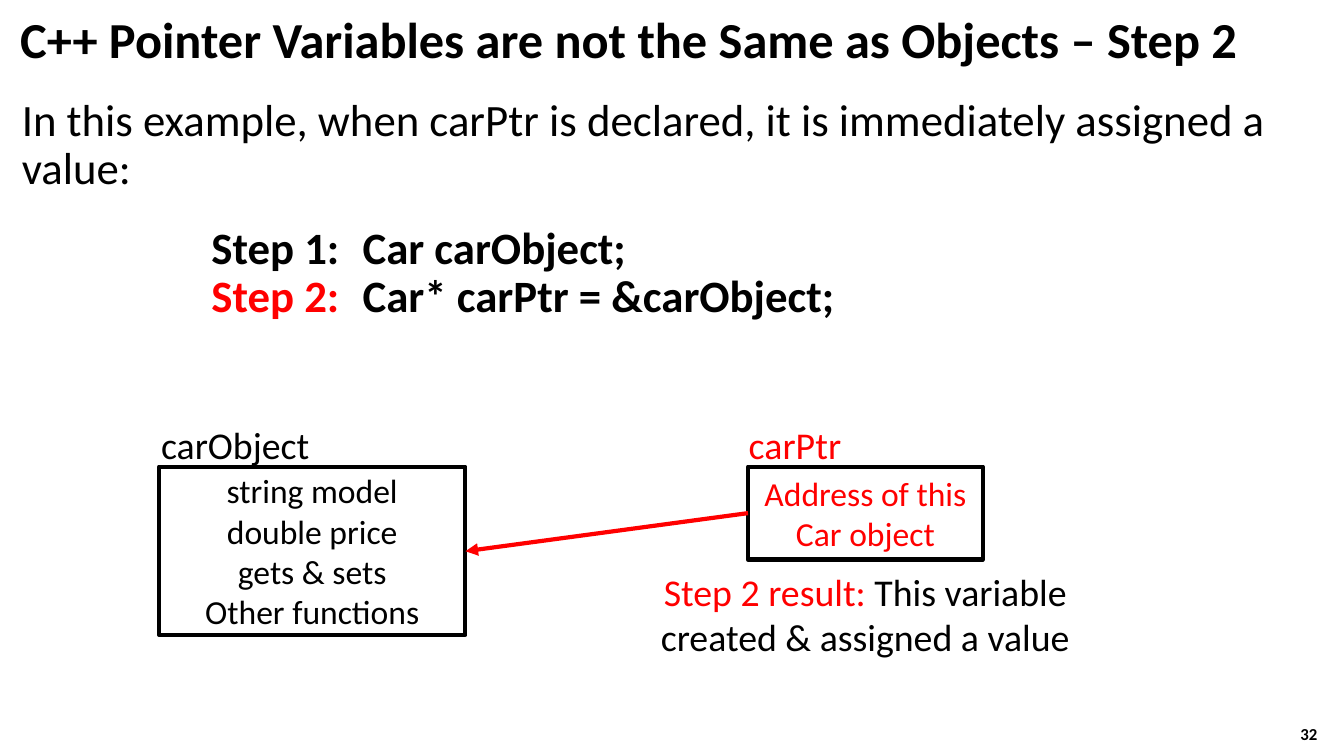
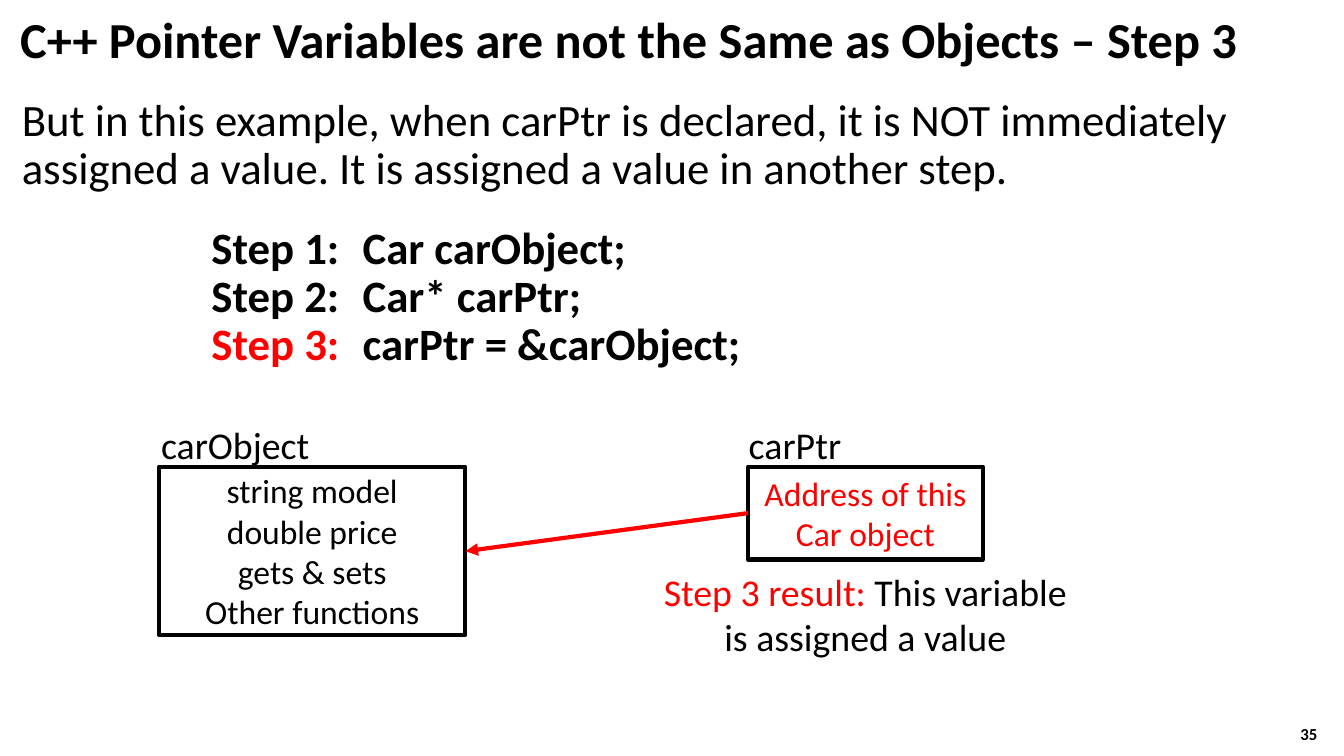
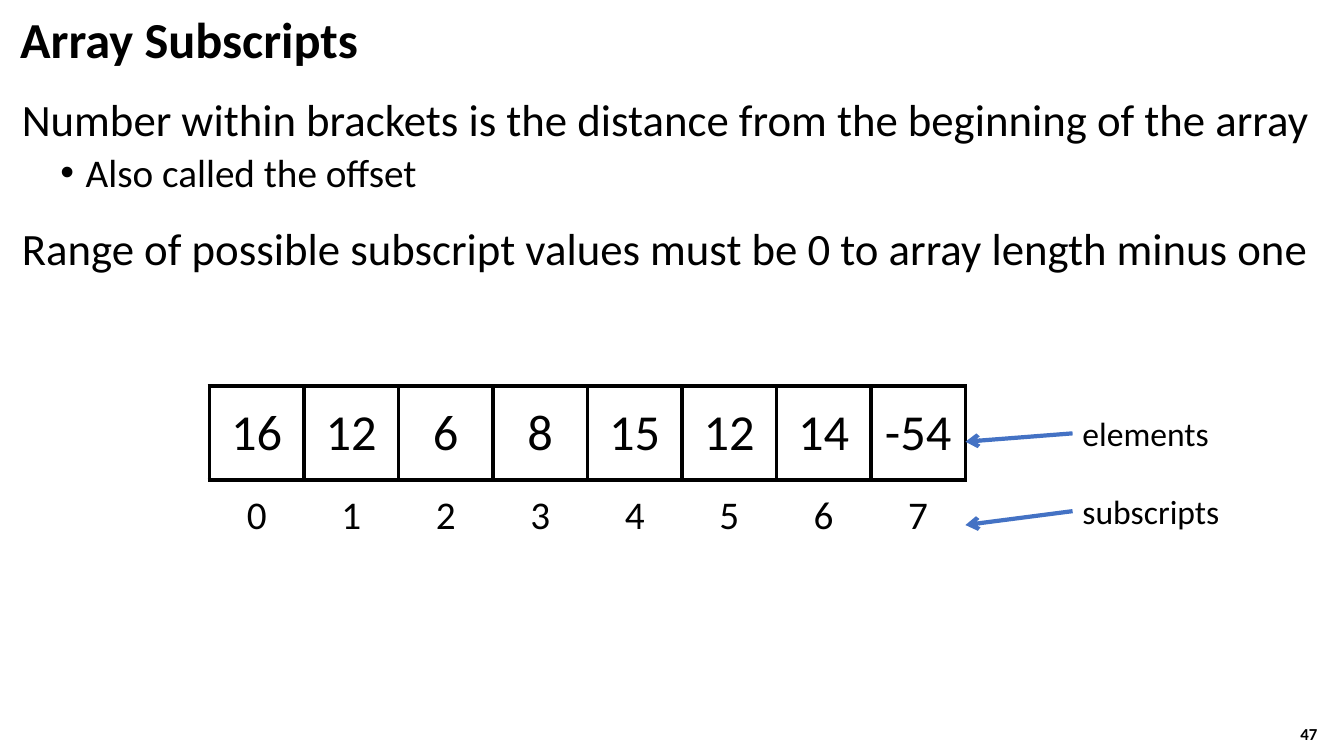
import pptx
import pptx.dml.color
import pptx.enum.shapes
import pptx.enum.text
import pptx.oxml
import pptx.oxml.ns
import pptx.util

Cm, Pt = pptx.util.Cm, pptx.util.Pt
ALIGN = pptx.enum.text.PP_ALIGN
MIDDLE = pptx.enum.text.MSO_ANCHOR.MIDDLE
NS = pptx.oxml.ns.nsdecls("a")
COLORS = {"black": "000000", "red": "FF0000", "blue": "4472C4"}
FONT = "Calibri"

# Per body level: size, left margin, first-line indent, space before
LEVELS = {
    "point": (32, Cm(0.3), 0, 22),
    "bullet": (28, Cm(1.91), Cm(-0.64), 5),
    "first step": (32, Cm(5.08), 0, 22),
    "step": (32, Cm(5.08), 0, 0),
}


def fill_text(tf, paragraphs, size, align=ALIGN.LEFT, bold=False, wrap=True):
    """Write paragraphs, each a list of (text, colour) runs."""
    tf.word_wrap = wrap
    for i, runs in enumerate(paragraphs):
        p = tf.paragraphs[0] if i == 0 else tf.add_paragraph()
        p.alignment = align
        for text, color in runs:
            r = p.add_run()
            r.text = text
            r.font.name, r.font.size, r.font.bold = FONT, Pt(size), bold
            r.font.color.rgb = pptx.dml.color.RGBColor.from_string(COLORS[color])


def add_arrow(s, x1, y1, x2, y2, color, head):
    ln = s.shapes.add_connector(pptx.enum.shapes.MSO_CONNECTOR.STRAIGHT,
                                Cm(x1), Cm(y1), Cm(x2), Cm(y2))
    ln.line.color.rgb = pptx.dml.color.RGBColor.from_string(COLORS[color])
    ln.line.width = Pt(3)
    ln.line._get_or_add_ln().append(pptx.oxml.parse_xml(f'<a:tailEnd {NS} type="{head}"/>'))
    ln._element.spPr.append(pptx.oxml.parse_xml(f"<a:effectLst {NS}/>"))


pointer_title = "C++ Pointer Variables are not the Same as Objects – Step "
slides = [
    {
        "number": "32",
        "title": pointer_title + "2",
        "body": [
            ("point", [("In this example, when carPtr is declared, it is immediately "
                        "assigned a value:", "black")]),
            ("first step", [("Step 1:", "black"), ("\tCar carObject;", "black")]),
            ("step", [("Step 2:", "red"), ("\tCar* carPtr = &carObject;", "black")]),
        ],
        "pointer color": "red",
        "result": [("Step 2 result:", "red"),
                   (" This variable created & assigned a value", "black")],
    },
    {
        "number": "35",
        "title": pointer_title + "3",
        "body": [
            ("point", [("But in this example, when carPtr is declared, it is NOT immediately "
                        "assigned a value. It is assigned a value in another step.", "black")]),
            ("first step", [("Step 1:", "black"), ("\tCar carObject;", "black")]),
            ("step", [("Step 2:", "black"), ("\tCar* carPtr;", "black")]),
            ("step", [("Step 3:", "red"), ("\tcarPtr = &carObject;", "black")]),
        ],
        "pointer color": "black",
        "result": [("Step 3 result: ", "red"), ("This variable is assigned a value", "black")],
    },
    {
        "number": "47",
        "title": "Array Subscripts",
        "body": [
            ("point", [("Number within brackets is the distance from the beginning "
                        "of the array", "black")]),
            ("bullet", [("Also called the offset", "black")]),
            ("point", [("Range of possible subscript values must be 0 to array length "
                        "minus one", "black")]),
        ],
        "elements": [16, 12, 6, 8, 15, 12, 14, -54],
    },
]

prs = pptx.Presentation()
prs.slide_width, prs.slide_height = Cm(33.87), Cm(19.05)

for content in slides:
    s = prs.slides.add_slide(prs.slide_layouts[6])

    # Slide number
    sp = s.shapes.add_textbox(Cm(30.91), Cm(17.98), Cm(2.54), Cm(1.02))
    sp.text_frame.vertical_anchor = MIDDLE
    fill_text(sp.text_frame, [[(content["number"], "black")]], 12, ALIGN.RIGHT, bold=True)

    # Title
    sp = s.shapes.add_textbox(0, 0, prs.slide_width, Cm(2.11))
    tf = sp.text_frame
    tf.margin_left = Cm(0.51)
    tf.vertical_anchor = MIDDLE
    fill_text(tf, [[(content["title"], "black")]], 36, bold=True)
    tf.paragraphs[0].line_spacing = 0.9

    # Body
    sp = s.shapes.add_textbox(0, Cm(2.34), prs.slide_width, Cm(15.49))
    tf = sp.text_frame
    fill_text(tf, [runs for level, runs in content["body"]], 32)
    for i, (level, runs) in enumerate(content["body"]):
        p = tf.paragraphs[i]
        size, left, indent, before = LEVELS[level]
        pPr = p._p.get_or_add_pPr()
        pPr.set("marL", str(left))
        pPr.set("indent", str(indent))
        if level == "bullet":
            pPr.append(pptx.oxml.parse_xml(f'<a:buFont {NS} typeface="Arial"/>'))
            pPr.append(pptx.oxml.parse_xml(f'<a:buChar {NS} char="•"/>'))
        elif "step" in level:
            stops = "".join(f'<a:tab pos="{Cm(5.08 * n)}" algn="l"/>' for n in (1, 2))
            pPr.append(pptx.oxml.parse_xml(f"<a:tabLst {NS}>{stops}</a:tabLst>"))
        p.line_spacing = 0.9
        p.space_before = Pt(before if i else 0)
        for r in p.runs:
            r.font.size = Pt(size)
            r.font.bold = "step" in level

    if "result" in content:
        # Object and pointer boxes with their names
        members = ["string model", "double price", "gets & sets", "Other functions"]
        boxes = [
            (4.01, 7.72, 4.24, [[(m, "black")] for m in members],
             3.81, 4.27, "carObject", "black"),
            (18.85, 5.92, 2.34, [[("Address of this Car object", "red")]],
             18.62, 2.87, "carPtr", content["pointer color"]),
        ]
        for x, w, h, lines, name_x, name_w, name, color in boxes:
            sp = s.shapes.add_shape(pptx.enum.shapes.MSO_SHAPE.RECTANGLE,
                                    Cm(x), Cm(11.76), Cm(w), Cm(h))
            sp.shadow.inherit = False
            sp.fill.background()
            sp.line.color.rgb = pptx.dml.color.RGBColor.from_string(COLORS["black"])
            sp.line.width = Pt(3)
            sp.text_frame.vertical_anchor = MIDDLE
            fill_text(sp.text_frame, lines, 24, ALIGN.CENTER)
            sp = s.shapes.add_textbox(Cm(name_x), Cm(10.49), Cm(name_w), Cm(1.42))
            fill_text(sp.text_frame, [[(name, color)]], 27, wrap=False)
        add_arrow(s, 18.85, 12.93, 11.73, 13.89, "red", "triangle")

        # Result of the step
        sp = s.shapes.add_textbox(Cm(16.38), Cm(14.2), Cm(10.85), Cm(2.57))
        fill_text(sp.text_frame, [content["result"]], 27, ALIGN.CENTER)
    else:
        # Array elements above their subscripts, each row with a label and arrow
        elements = content["elements"]
        rows = [
            (elements, 9.73, 2.36, 36, True, "elements", 3.73, 10.29, 10.92, 11.13),
            (range(len(elements)), 12.27, 1.47, 28, False, "subscripts", 4.75, 12.24, 12.88, 13.23),
        ]
        for values, y, h, size, boxed, label, label_w, label_y, start_y, end_y in rows:
            tbl = s.shapes.add_table(1, len(values), Cm(5.28), Cm(y), Cm(19.05), Cm(h)).table
            tbl.first_row = tbl.horz_banding = False
            for cell, value in zip(tbl.rows[0].cells, values):
                if boxed:
                    cell.vertical_anchor = MIDDLE
                    for side in ("lnL", "lnR", "lnT", "lnB"):
                        cell._tc.get_or_add_tcPr().append(pptx.oxml.parse_xml(
                            f'<a:{side} {NS} w="{Pt(3)}"><a:solidFill>'
                            f'<a:srgbClr val="{COLORS["black"]}"/></a:solidFill></a:{side}>'))
                cell.fill.background()
                fill_text(cell.text_frame, [[(str(value), "black")]], size, ALIGN.CENTER)
            sp = s.shapes.add_textbox(Cm(27.03), Cm(label_y), Cm(label_w), Cm(1.27))
            fill_text(sp.text_frame, [[(label, "black")]], 24, wrap=False)
            add_arrow(s, 27.03, start_y, 24.33, end_y, "blue", "arrow")

prs.save("out.pptx")
